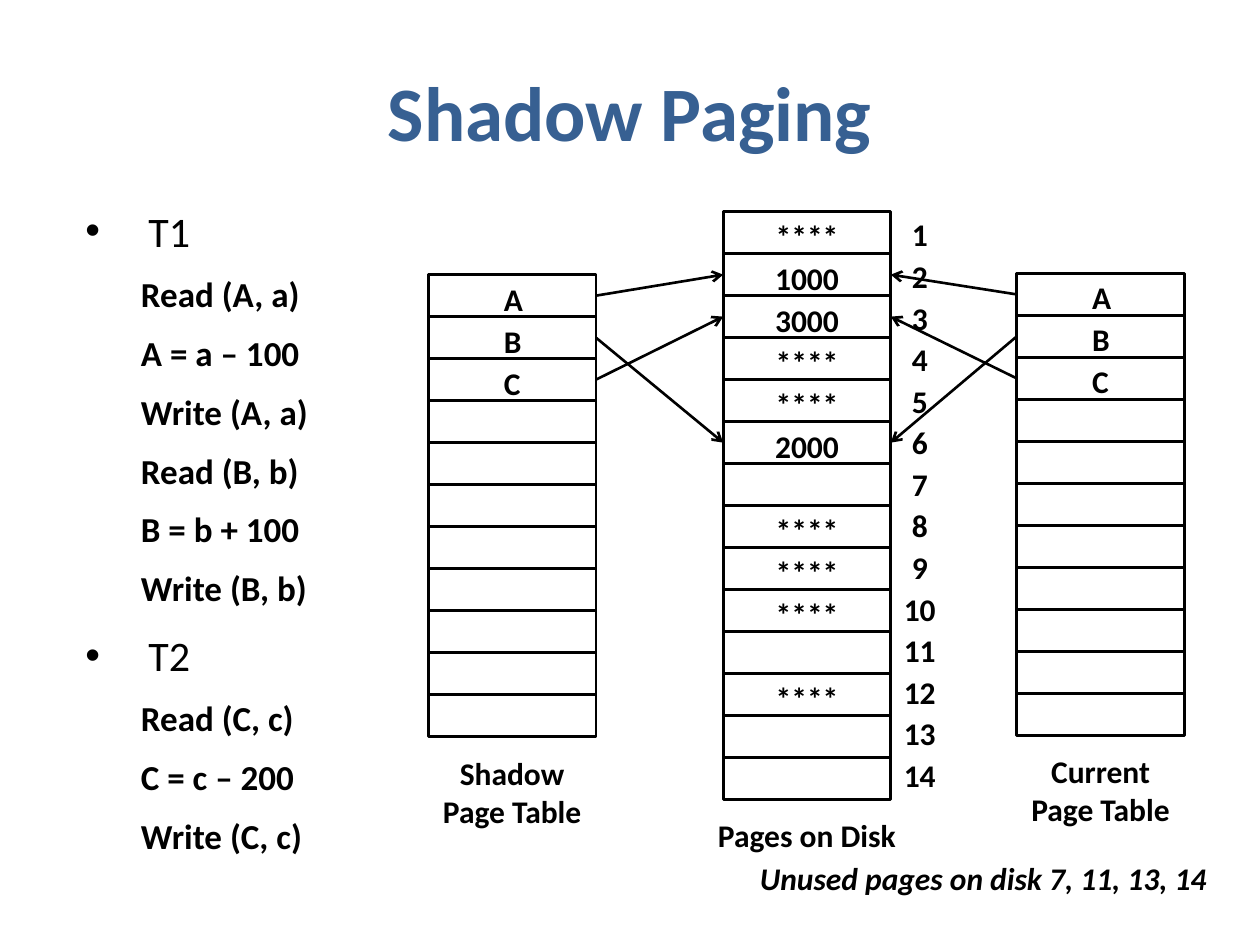
from lxml import etree
from pptx import Presentation
from pptx.dml.color import RGBColor
from pptx.enum.shapes import MSO_CONNECTOR, MSO_SHAPE
from pptx.enum.text import MSO_ANCHOR, PP_ALIGN
from pptx.oxml.ns import qn
from pptx.util import Inches, Pt

FONT = "Calibri"
BLACK, BLUE = "000000", "376092"
ROW, COL = 1 / 3, 1.33
SHADOW, DISK, CURRENT = (3.4, 2.18), (5.74, 1.68), (8.07, 2.17)
PAGES = ["****", "1000", "3000", "****", "****", "2000", "",
         "****", "****", "****", "", "****", "", ""]
LINKS = {"A": 2, "B": 6, "C": 3}
STEPS = {
    "T1": ["Read (A, a)", "A = a – 100", "Write (A, a)",
           "Read (B, b)", "B = b + 100", "Write (B, b)"],
    "T2": ["Read (C, c)", "C = c – 200", "Write (C, c)"],
}


def color(code):
    """Turn a hex string into a colour."""
    return RGBColor.from_string(code)


def style(para, size, code=BLACK, bold=True, italic=False):
    """Set the font of a paragraph."""
    font = para.font
    font.name, font.size = FONT, Pt(size)
    font.bold, font.italic = bold, italic
    font.color.rgb = color(code)


def add_text(slide, text, left, top, width, height=0.4, size=18, wrap=True, **look):
    """Add a centred text box with one paragraph."""
    box = slide.shapes.add_textbox(*map(Inches, (left, top, width, height)))
    frame = box.text_frame
    frame.word_wrap = wrap
    frame.vertical_anchor = MSO_ANCHOR.MIDDLE
    para = frame.paragraphs[0]
    para.text, para.alignment = text, PP_ALIGN.CENTER
    style(para, size, **look)


def add_line(slide, start, end, arrow=False):
    """Add a straight line, with an arrowhead at its end if asked."""
    line = slide.shapes.add_connector(
        MSO_CONNECTOR.STRAIGHT, *map(Inches, (*start, *end)))
    line.line.color.rgb = color(BLACK)
    line.line.width = Pt(1.5)
    if arrow:
        pen = line.line._get_or_add_ln()
        etree.SubElement(pen, qn("a:tailEnd"), type="arrow")
    etree.SubElement(line._element.spPr, qn("a:effectLst"))


def add_stack(slide, spot, rows, name, width):
    """Add a ruled column of cells with a caption below."""
    left, top = spot
    box = slide.shapes.add_shape(
        MSO_SHAPE.RECTANGLE, *map(Inches, (left, top, COL, rows * ROW)))
    box.shadow.inherit = False
    box.fill.background()
    box.line.color.rgb = color(BLACK)
    box.line.width = Pt(1.5)
    for row in range(1, rows):
        y = top + row * ROW
        add_line(slide, (left, y), (left + COL, y))
    height = 0.71 if name.endswith("Table") else 0.4
    add_text(slide, name, left + (COL - width) / 2, top + rows * ROW + 0.08,
             width, height)


def add_cells(slide, spot, texts, width):
    """Write one text in the middle of each row that has one."""
    left, top = spot
    for row, text in enumerate(texts):
        if text:
            add_text(slide, text, left + (COL - width) / 2,
                     top + row * ROW - 0.01, width, wrap=False)


def add_links(slide, spot, start, end):
    """Point each entry of a page table at its page on disk."""
    for row, page in enumerate(LINKS.values()):
        add_line(slide, (start, spot[1] + (row + 0.5) * ROW),
                 (end, DISK[1] + (page - 0.5) * ROW), arrow=True)


def add_bullet(para):
    """Give a paragraph a hanging bullet."""
    props = para._p.get_or_add_pPr()
    props.set("marL", str(Inches(0.5)))
    props.set("indent", str(-Inches(0.5)))
    etree.SubElement(props, qn("a:buFont"), typeface="Arial")
    etree.SubElement(props, qn("a:buChar"), char="•")


def add_steps(slide):
    """List the steps of each transaction."""
    box = slide.shapes.add_textbox(*map(Inches, (0.58, 1.58, 2.92, 5.42)))
    frame = box.text_frame
    frame.word_wrap = True
    para = frame.paragraphs[0]
    for name, steps in STEPS.items():
        if para.text:
            para = frame.add_paragraph()
            para.space_before = Pt(12)
        para.text = name
        style(para, 24, bold=False)
        add_bullet(para)
        for step in steps:
            para = frame.add_paragraph()
            para.text, para.space_before = step, Pt(9.6)
            style(para, 20)
            props = para._p.get_or_add_pPr()
            props.set("marL", str(Inches(0.94)))
            props.set("indent", str(-Inches(0.5)))


def main():
    """Build the slide."""
    deck = Presentation()
    deck.slide_width, deck.slide_height = Inches(10), Inches(7.5)
    slide = deck.slides.add_slide(deck.slide_layouts[6])
    add_text(slide, "Shadow Paging", 0.5, 0.25, 9, 1.25, size=44, code=BLUE)
    add_steps(slide)

    add_stack(slide, SHADOW, 11, "Shadow Page Table", 1.5)
    add_stack(slide, DISK, len(PAGES), "Pages on Disk", 1.83)
    add_stack(slide, CURRENT, 11, "Current Page Table", 1.5)
    add_links(slide, SHADOW, SHADOW[0] + COL, DISK[0])
    add_links(slide, CURRENT, CURRENT[0], DISK[0] + COL)
    add_cells(slide, SHADOW, LINKS, 0.33)
    add_cells(slide, CURRENT, LINKS, 0.33)
    add_cells(slide, DISK, PAGES, 0.75)
    for row in range(len(PAGES)):
        add_text(slide, str(row + 1), 7.05, 1.66 + 0.33 * row, 0.5, wrap=False)
    add_text(slide, "Unused pages on disk 7, 11, 13, 14", 5.89, 6.77, 3.83,
             italic=True)
    deck.save("out.pptx")


main()
